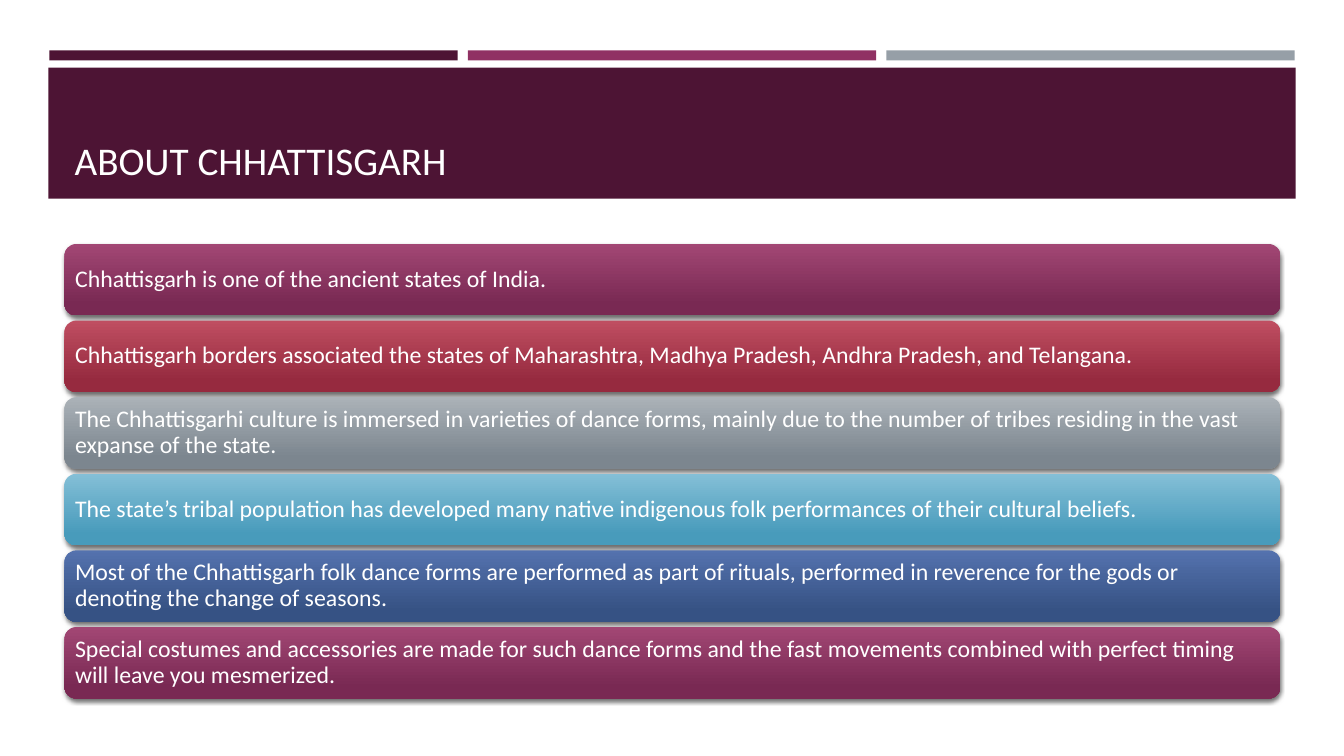
from lxml.etree import SubElement as Sub
from pptx import Presentation
from pptx.dml.color import RGBColor
from pptx.enum.shapes import MSO_SHAPE as Shape
from pptx.enum.text import MSO_ANCHOR as Anchor, MSO_AUTO_SIZE as Fit, PP_ALIGN as Align
from pptx.oxml.ns import qn
from pptx.util import Inches, Pt

FONT = "Calibri"
WHITE = RGBColor(0xFF, 0xFF, 0xFF)
DARK = RGBColor(0x4D, 0x14, 0x34)
PLUM = RGBColor(0x90, 0x31, 0x63)
GREY = RGBColor(0x96, 0x9F, 0xA7)

# Gradient pairs, top and bottom
ROSE = RGBColor(0xA2, 0x47, 0x74), RGBColor(0x79, 0x29, 0x53)
RED = RGBColor(0xBF, 0x4E, 0x61), RGBColor(0x96, 0x2A, 0x3F)
STEEL = RGBColor(0xAB, 0xB2, 0xB8), RGBColor(0x7C, 0x86, 0x8F)
SKY = RGBColor(0x84, 0xBF, 0xD7), RGBColor(0x48, 0x9B, 0xBB)
BLUE = RGBColor(0x54, 0x72, 0xAE), RGBColor(0x36, 0x52, 0x84)

FACTS = [
    ("Chhattisgarh is one of the ancient states of India.", ROSE),
    ("Chhattisgarh borders associated the states of Maharashtra, Madhya Pradesh, "
     "Andhra Pradesh, and Telangana.", RED),
    ("The Chhattisgarhi culture is immersed in varieties of dance forms, mainly due to "
     "the number of tribes residing in the vast expanse of the state.", STEEL),
    ("The state’s tribal population has developed many native indigenous folk "
     "performances of their cultural beliefs.", SKY),
    ("Most of the Chhattisgarh folk dance forms are performed as part of rituals, "
     "performed in reverence for the gods or denoting the change of seasons.", BLUE),
    ("Special costumes and accessories are made for such dance forms and the fast "
     "movements combined with perfect timing will leave you mesmerized.", ROSE),
]

# Grid, in inches
EDGE, COL, COL_STEP = 0.49, 4.05, 4.15
LEFT, WIDTH = 0.64, 12.06
TOP, ROW, ROW_STEP = 2.42, 0.71, 0.76


def add_box(slide, kind, *area):
    box = slide.shapes.add_shape(kind, *map(Inches, area))
    box.shadow.inherit = False
    box.line.fill.background()
    return box


def add_band(slide, color, *area):
    band = add_box(slide, Shape.RECTANGLE, *area)
    band.fill.solid()
    band.fill.fore_color.rgb = color


def set_text(shape, text, size, anchor):
    frame = shape.text_frame
    frame.text = text
    frame.word_wrap = True
    frame.auto_size = Fit.NONE
    frame.vertical_anchor = anchor
    para = frame.paragraphs[0]
    para.alignment = Align.LEFT
    para.line_spacing = 0.9
    para.font.name = FONT
    para.font.size = Pt(size)
    para.font.color.rgb = WHITE
    return frame


def add_title(slide, text):
    title = slide.shapes.title
    title.left, title.top, title.width, title.height = map(
        Inches, (LEFT, 0.77, WIDTH, 1.11))
    set_text(title, text, 28, Anchor.BOTTOM)
    slide.shapes.element.append(title.element)  # in front of the header


def add_shadow(shape):
    effects = shape.element.spPr.find(qn("a:effectLst"))
    outer = Sub(effects, qn("a:outerShdw"), blurRad=str(Pt(3)), dist=str(Pt(2)),
                dir="5400000", algn="ctr", rotWithShape="0")
    black = Sub(outer, qn("a:srgbClr"), val="000000")
    Sub(black, qn("a:alpha"), val="55000")


def add_fact(slide, row, text, shades):
    bar = add_box(slide, Shape.ROUNDED_RECTANGLE,
                  LEFT, TOP + row * ROW_STEP, WIDTH, ROW)
    bar.fill.gradient()
    bar.fill.gradient_angle = 270
    for stop, color, place in zip(bar.fill.gradient_stops, shades, (0, 0.84)):
        stop.color.rgb = color
        stop.position = place
    add_shadow(bar)
    frame = set_text(bar, text, 17, Anchor.MIDDLE)
    frame.margin_left = frame.margin_right = Inches(0.07)
    frame.margin_top = frame.margin_bottom = Inches(0.07)


def main():
    prs = Presentation()
    prs.slide_width, prs.slide_height = Inches(13.33), Inches(7.5)
    slide = prs.slides.add_slide(prs.slide_layouts[5])

    # Header
    for col, color in enumerate((DARK, PLUM, GREY)):
        add_band(slide, color, EDGE + col * COL_STEP, 0.5, COL, 0.1)
    add_band(slide, DARK, 0.48, 0.67, 12.37, 1.3)
    add_title(slide, "ABOUT CHHATTISGARH")

    # Facts
    for row, (text, shades) in enumerate(FACTS):
        add_fact(slide, row, text, shades)

    prs.save("out.pptx")


if __name__ == "__main__":
    main()
